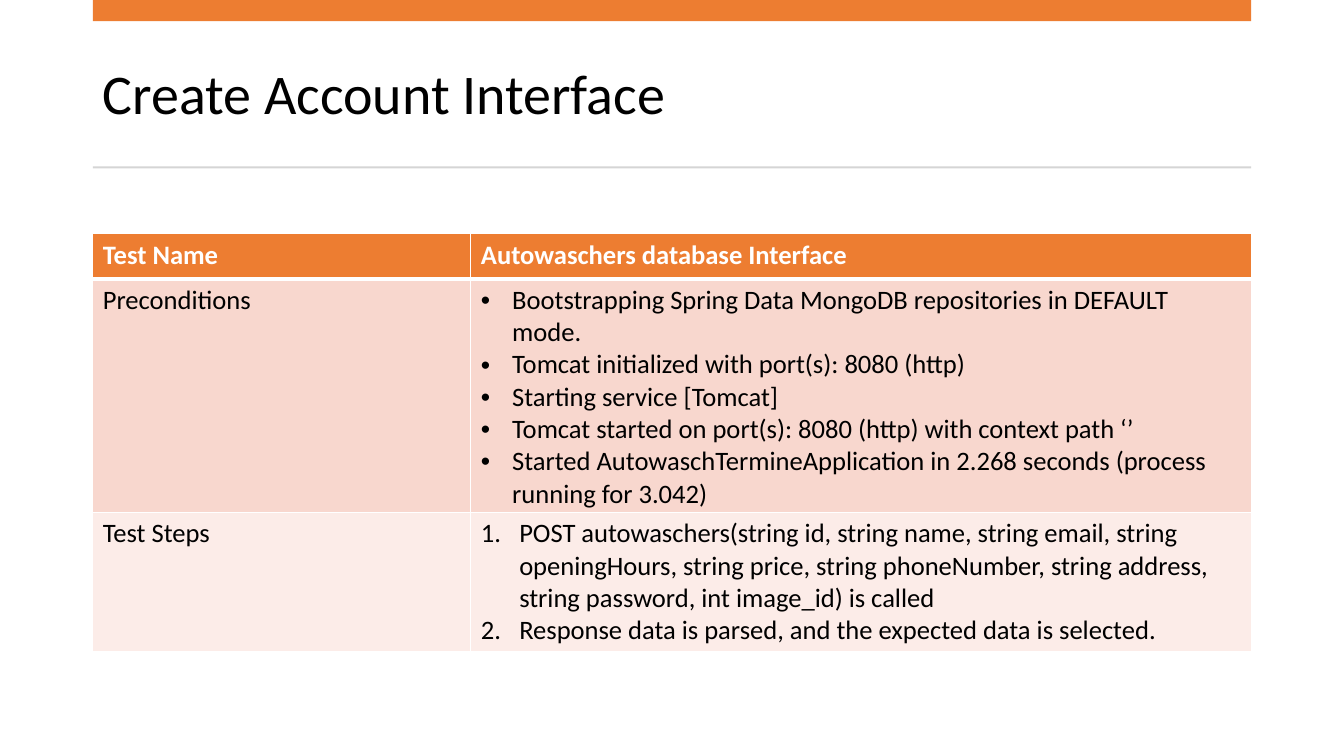
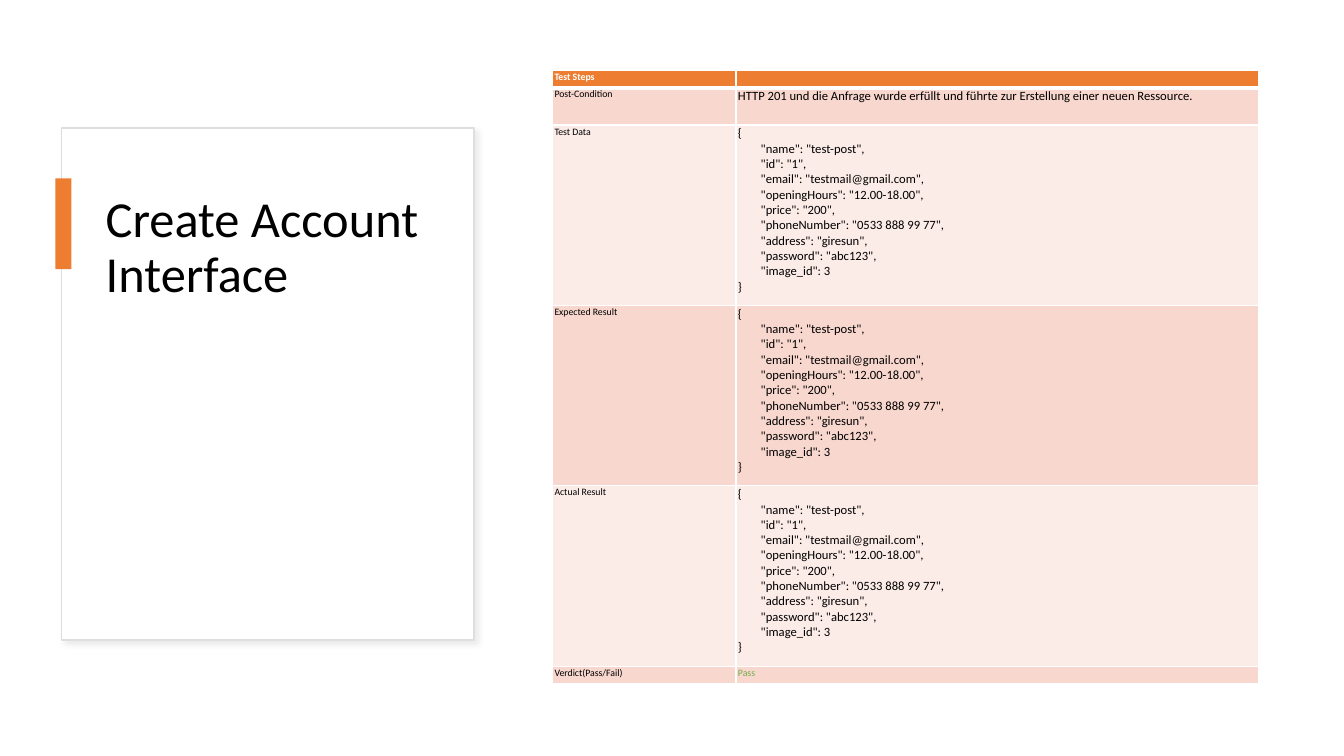
from lxml.etree import SubElement
from pptx import Presentation
from pptx.dml.color import RGBColor
from pptx.enum.shapes import MSO_SHAPE
from pptx.enum.text import MSO_ANCHOR as Anchor
from pptx.oxml.ns import qn
from pptx.util import Inches, Pt

ORANGE = RGBColor(0xED, 0x7D, 0x31)
ROSE = RGBColor(0xF8, 0xD7, 0xCE)
PALE_ROSE = RGBColor(0xFC, 0xEC, 0xE8)
GREEN = RGBColor(0x70, 0xAD, 0x47)
RULE_GREY = RGBColor(0xD5, 0xD5, 0xD5)
CARD_GREY = RGBColor(0xDE, 0xDE, 0xDE)
SHADOW_GREY = RGBColor(0xD9, 0xD9, 0xD9)
WHITE = RGBColor(0xFF, 0xFF, 0xFF)
BLACK = RGBColor(0, 0, 0)
FONT = "Calibri"

TITLE = "Create Account Interface"
LEFT, WIDTH = 0.92, 11.49

# List styles: left indent in inches, bullet tag, bullet attributes
BULLETED = (0.31, "a:buChar", {"char": "•"})
NUMBERED = (0.38, "a:buAutoNum", {"type": "arabicPeriod"})

TEST_DATA = [
    '{',
    '        "name": "test-post",',
    '        "id": "1",',
    '        "email": "testmail@gmail.com",',
    '        "openingHours": "12.00-18.00",',
    '        "price": "200",',
    '        "phoneNumber": "0533 888 99 77",',
    '        "address": "giresun",',
    '        "password": "abc123",',
    '        "image_id": 3',
    '}',
]

# Rows: height, label, lines of the second cell, list style, format of the second cell
SETUP_ROWS = [
    (0.45, "Test Name", ["Autowaschers database Interface"], None, {}),
    (2.3, "Preconditions", [
        "Bootstrapping Spring Data MongoDB repositories in DEFAULT mode.",
        "Tomcat initialized with port(s): 8080 (http)",
        "Starting service [Tomcat]",
        "Tomcat started on port(s): 8080 (http) with context path ‘’",
        "Started AutowaschTermineApplication in 2.268 seconds (process running for 3.042)",
    ], BULLETED, {}),
    (1.38, "Test Steps", [
        "POST autowaschers(string id, string name, string email, string openingHours, "
        "string price, string phoneNumber, string address, string password, "
        "int image_id) is called",
        "Response data is parsed, and the expected data is selected.",
    ], NUMBERED, {}),
]
CODE = {"size": Pt(9)}
RESULT_ROWS = [
    (0.17, "Test Steps", [""], None, {}),
    (0.37, "Post-Condition",
     ["HTTP 201 und die Anfrage wurde erfüllt und führte zur Erstellung einer neuen Ressource."],
     None, CODE),
    *[(1.79, label, TEST_DATA, None, CODE)
      for label in ("Test Data", "Expected Result", "Actual Result")],
    (0.17, "Verdict(Pass/Fail)", ["Pass"], None, {"color": GREEN}),
]


def write(paragraph, text, size, color=BLACK, bold=False):
    if not text:
        SubElement(paragraph._p, qn("a:endParaRPr"), sz=str(int(size.pt * 100)))
        return
    run = paragraph.add_run()
    run.text = text
    for name, value in {"name": FONT, "size": size, "bold": bold}.items():
        setattr(run.font, name, value)
    run.font.color.rgb = color


def add_title(slide, box, size, anchor):
    frame = slide.shapes.add_textbox(*map(Inches, box)).text_frame
    frame.word_wrap = True
    frame.vertical_anchor = anchor
    paragraph = frame.paragraphs[0]
    paragraph.line_spacing = 0.9
    write(paragraph, TITLE, Pt(size))


def add_block(slide, box, fill, line=None):
    shape = slide.shapes.add_shape(MSO_SHAPE.RECTANGLE, *map(Inches, box))
    shape.shadow.inherit = False
    shape.fill.solid()
    shape.fill.fore_color.rgb = fill
    if line is None:
        shape.line.fill.background()
    else:
        shape.line.color.rgb = line
        shape.line.width = Pt(1)
    return shape


def add_soft_shadow(shape):
    effects = shape._element.spPr.find(qn("a:effectLst"))
    shadow = SubElement(effects, qn("a:outerShdw"), blurRad=str(Pt(4)), dist=str(Pt(3)),
                        dir=str(45 * 60000), algn="tl", rotWithShape="0")
    color = SubElement(shadow, qn("a:srgbClr"), val=str(SHADOW_GREY))
    SubElement(color, qn("a:alpha"), val="50000")


def set_borders(cell, row_index):
    """Draw white borders, with a thicker one below the header row."""
    properties = cell._tc.get_or_add_tcPr()
    widths = {"L": 1, "R": 1, "T": 3 if row_index == 1 else 1, "B": 3 if row_index == 0 else 1}
    for side, width in widths.items():
        line = SubElement(properties, qn(f"a:ln{side}"), w=str(Pt(width)))
        SubElement(SubElement(line, qn("a:solidFill")), qn("a:srgbClr"), val=str(WHITE))


def set_list_style(paragraph, style):
    indent, tag, attributes = style
    properties = paragraph._p.get_or_add_pPr()
    properties.set("marL", str(Inches(indent)))
    properties.set("indent", str(-Inches(indent)))
    SubElement(properties, qn("a:buFont"), typeface="Arial" if style is BULLETED else "+mj-lt")
    SubElement(properties, qn(tag), attributes)


def fill_cell(cell, row_index, lines, style, text_format, inset):
    set_borders(cell, row_index)
    cell.fill.solid()
    cell.fill.fore_color.rgb = ORANGE if row_index == 0 else (PALE_ROSE, ROSE)[row_index % 2]
    horizontal, vertical = map(Inches, inset)
    margins = {"margin_left": horizontal, "margin_right": horizontal,
               "margin_top": vertical, "margin_bottom": vertical}
    for name, value in margins.items():
        setattr(cell, name, value)
    frame = cell.text_frame
    for index, text in enumerate(lines):
        paragraph = frame.add_paragraph() if index else frame.paragraphs[0]
        if style:
            set_list_style(paragraph, style)
        write(paragraph, text, **text_format)


def add_test_table(slide, left, top, column_widths, rows, size, inset):
    height = sum(row[0] for row in rows)
    box = map(Inches, (left, top, sum(column_widths), height))
    table = slide.shapes.add_table(len(rows), len(column_widths), *box).table
    table.horz_banding = False
    for column, width in zip(table.columns, column_widths):
        column.width = Inches(width)
    for index, (row_height, label, lines, style, extra) in enumerate(rows):
        table.rows[index].height = Inches(row_height)
        base = {"size": Pt(size)}
        if index == 0:
            base |= {"color": WHITE, "bold": True}
        fill_cell(table.cell(index, 0), index, [label], None, base, inset)
        fill_cell(table.cell(index, 1), index, lines, style, base | extra, inset)


def build_setup_slide(slide):
    add_title(slide, (LEFT, 0.37, WIDTH, 1.18), 40, Anchor.MIDDLE)
    add_block(slide, (LEFT, 0, WIDTH, 0.21), ORANGE)
    add_block(slide, (LEFT, 1.65, WIDTH, 0.02), RULE_GREY)
    add_test_table(slide, LEFT, 2.32, (3.75, 7.74), SETUP_ROWS, 19, (0.1, 0.05))


def build_result_slide(slide):
    card = add_block(slide, (0.61, 1.27, 4.09, 5.08), WHITE, CARD_GREY)
    add_soft_shadow(card)
    add_title(slide, (0.95, 1.88, 3.39, 3.85), 36, Anchor.TOP)
    add_block(slide, (0.55, 1.77, 0.16, 0.9), ORANGE)
    add_test_table(slide, 5.48, 0.7, (1.82, 5.18), RESULT_ROWS, 7, (0.02, 0.01))


def main():
    presentation = Presentation()
    presentation.slide_width = Inches(13.33)
    presentation.slide_height = Inches(7.5)
    blank = presentation.slide_layouts[6]
    for build in (build_setup_slide, build_result_slide):
        build(presentation.slides.add_slide(blank))
    presentation.save("out.pptx")


if __name__ == "__main__":
    main()
